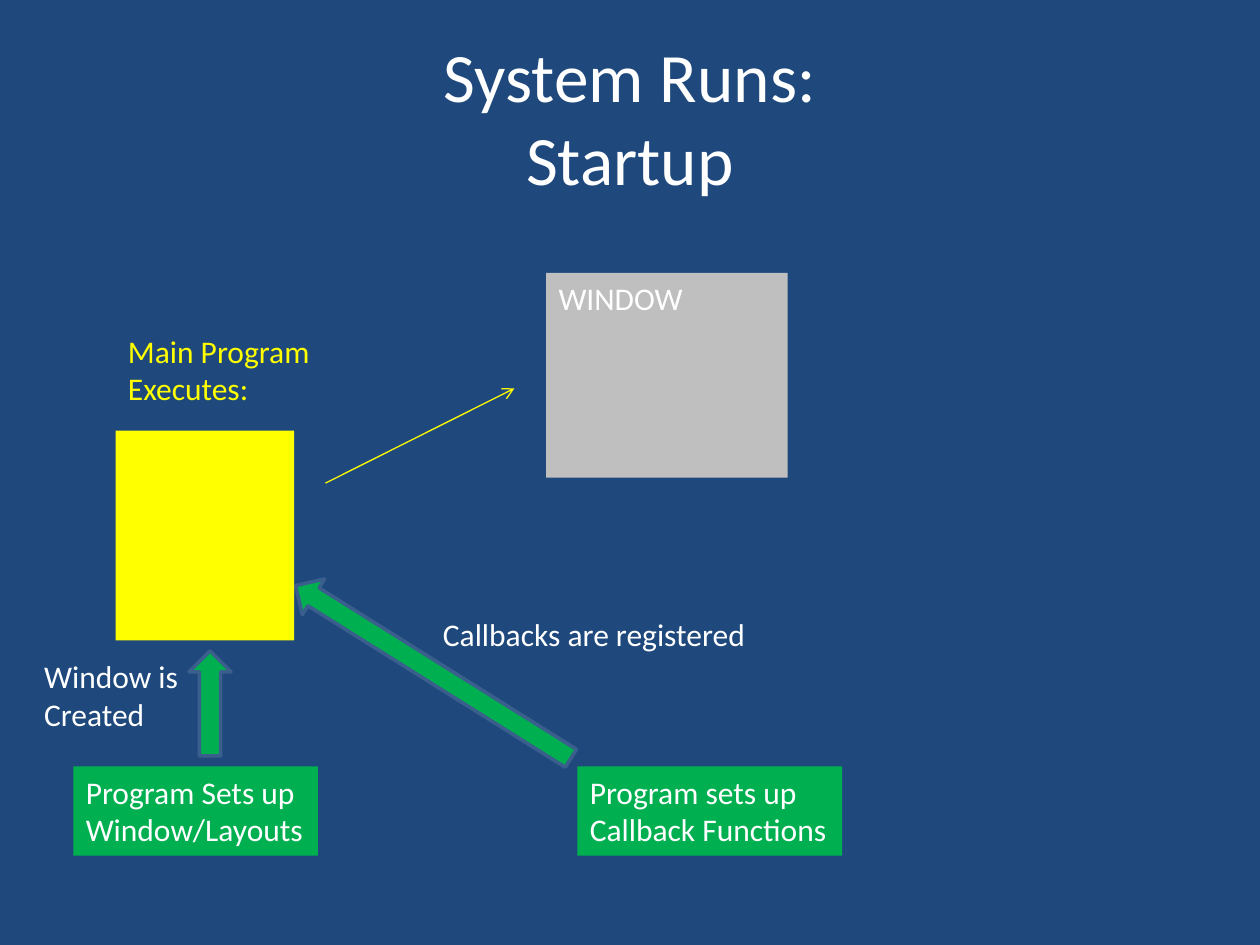
from lxml import etree
from pptx import Presentation
from pptx.dml.color import RGBColor
from pptx.enum.shapes import MSO_CONNECTOR, MSO_SHAPE
from pptx.enum.text import MSO_ANCHOR, PP_ALIGN
from pptx.oxml.ns import qn
from pptx.util import Cm, Pt

RECT, UP_ARROW = MSO_SHAPE.RECTANGLE, MSO_SHAPE.UP_ARROW
STRAIGHT = MSO_CONNECTOR.STRAIGHT
TOP, MIDDLE = MSO_ANCHOR.TOP, MSO_ANCHOR.MIDDLE
LEFT, CENTER = PP_ALIGN.LEFT, PP_ALIGN.CENTER
FONT = "Calibri"
COLORS = {"navy": "1F497D", "white": "FFFFFF", "yellow": "FFFF00",
          "green": "00B050", "gray": "BFBFBF", "edge": "3A5F8C"}

# Content: positions in cm as left, top, width, height
TITLE = "System Runs:\vStartup"
TITLE_BOX = (1.27, 0.76, 22.86, 3.18)
LABELS = [  # text, box, colour, wrap
    ("Main Program\nExecutes:", (2.33, 6.56, 4.21, 1.8), "yellow", False),
    ("Callbacks are registered", (8.68, 12.28, 6.68, 1.02), "white", False),
    ("Window is\nCreated", (0.64, 13.12, 3.39, 1.8), "white", True),
]
ARROWS = [  # box, rotation
    ((3.81, 13.12, 0.85, 2.12), 0),
    ((8.31, 10.27, 0.85, 6.55), 302.1),
]
BLOCKS = [  # text, box, fill, wrap
    ("Program Sets up\nWindow/Layouts", (1.48, 15.45, 4.93, 1.8), "green", False),
    ("Program sets up \nCallback Functions", (11.64, 15.45, 5.34, 1.8), "green", False),
    ("", (2.33, 8.68, 3.6, 4.23), "yellow", True),
    ("WINDOW", (11.01, 5.5, 4.87, 4.13), "gray", True),
]
PROGRAM_TO_WINDOW = (6.56, 9.74, 10.37, 7.83)


def cm(values):
    return [Cm(v) for v in values]


def rgb(name):
    return RGBColor.from_string(COLORS[name])


def set_text(sp, text, size, color, align=LEFT, anchor=TOP, wrap=True):
    tf = sp.text_frame
    tf.text = text
    tf.word_wrap = wrap
    tf.vertical_anchor = anchor
    for p in tf.paragraphs:
        p.alignment = align
        for r in p.runs:
            r.font.name, r.font.size = FONT, Pt(size)
            r.font.color.rgb = rgb(color)


def add_solid(kind, box, fill):
    sp = s.shapes.add_shape(kind, *cm(box))
    sp.shadow.inherit = False
    sp.fill.solid()
    sp.fill.fore_color.rgb = rgb(fill)
    sp.line.fill.background()
    return sp


prs = Presentation()
prs.slide_width, prs.slide_height = Cm(25.4), Cm(19.05)
s = prs.slides.add_slide(prs.slide_layouts[5])
s.background.fill.solid()
s.background.fill.fore_color.rgb = rgb("navy")

# Title
title = s.shapes.title
title.left, title.top, title.width, title.height = cm(TITLE_BOX)
set_text(title, TITLE, 39.6, "white", CENTER, MIDDLE)

# Block arrows
for box, angle in ARROWS:
    sp = add_solid(UP_ARROW, box, "green")
    sp.rotation = angle
    sp.line.color.rgb = rgb("edge")
    sp.line.width = Pt(2)

# Filled blocks
for text, box, fill, wrap in BLOCKS:
    set_text(add_solid(RECT, box, fill), text, 18, "white", wrap=wrap)

# Labels
for text, box, color, wrap in LABELS:
    set_text(s.shapes.add_textbox(*cm(box)), text, 18, color, wrap=wrap)

# Thin arrow from the program to the window
line = s.shapes.add_connector(STRAIGHT, *cm(PROGRAM_TO_WINDOW))
line.line.color.rgb = rgb("yellow")
line.line.width = Pt(0.75)
etree.SubElement(line.line._get_or_add_ln(), qn("a:tailEnd"), type="arrow")
etree.SubElement(line._element.spPr, qn("a:effectLst"))

prs.save("out.pptx")
